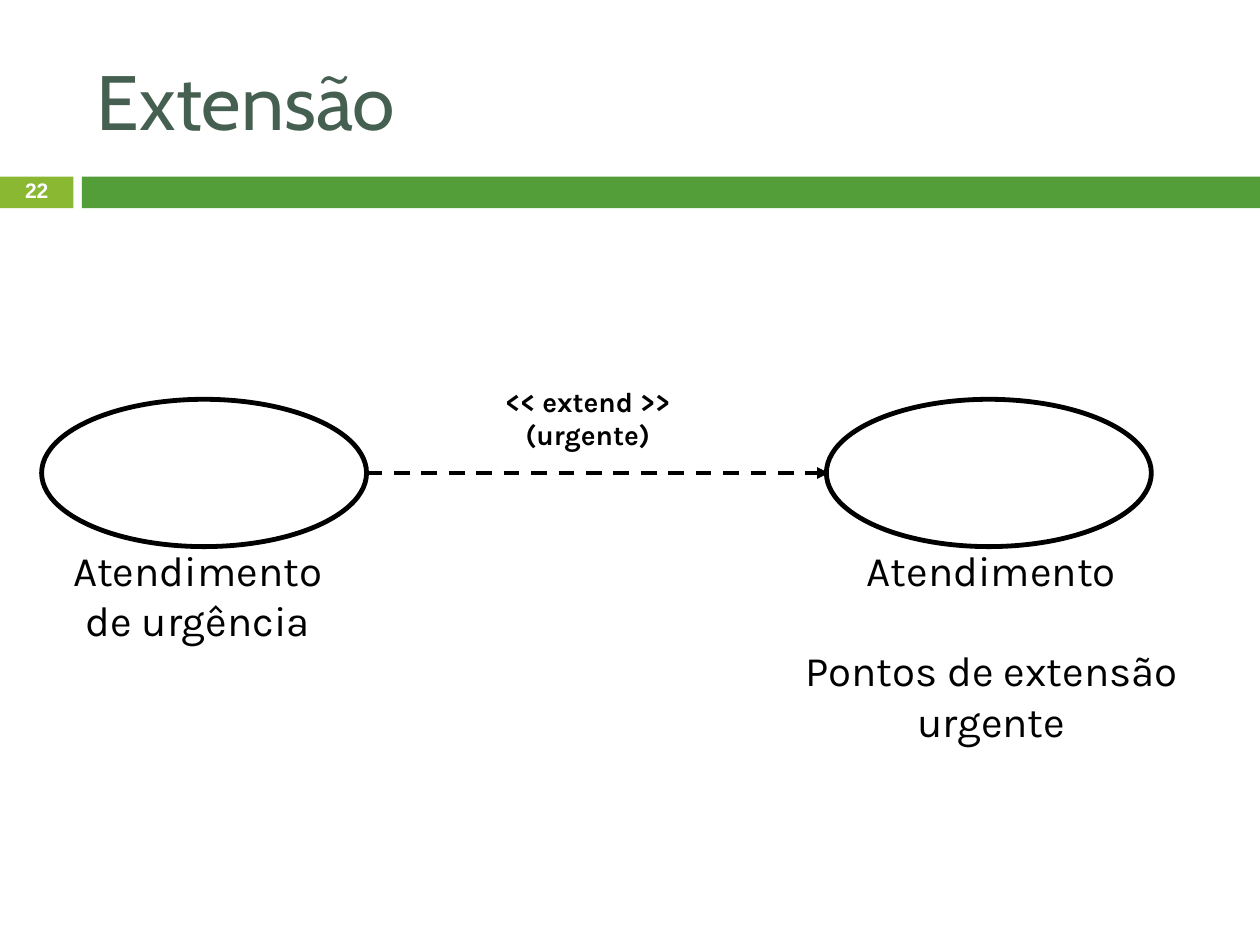
import pptx
import pptx.util
import pptx.dml.color
import pptx.enum.dml
import pptx.enum.shapes
import pptx.enum.text
import pptx.oxml.ns
from lxml import etree
from pptx.util import Cm, Pt

TITLE = "Extensão"
PAGE_NUMBER = "22"
BLACK = "000000"

# left, width, colour
BANDS = [(0, 1.48, "8AB833"), (1.65, 23.75, "549E39")]
BAND_TOP, BAND_HEIGHT = 3.56, 0.64

USE_CASE_LEFTS = [0.84, 16.66]
USE_CASE_TOP, USE_CASE_WIDTH, USE_CASE_HEIGHT = 8.05, 6.55, 2.97

# box (left, top, width, height), size, bold, lines as (text, points of space before)
LABELS = [
    ((1.14, 10.85, 5.69, 2.29), 24, False,
     [("Atendimento", 0), ("de urgência", 0)]),
    ((15.82, 10.85, 8.33, 4.32), 24, False,
     [("Atendimento", 0), ("Pontos de extensão", 28.5), ("urgente", 0)]),
    ((9.83, 7.62, 4.04, 1.63), 16, True,
     [("<< extend >>", 0), ("(urgente)", 0)]),
]


def rgb(colour):
    return pptx.dml.color.RGBColor.from_string(colour)


def add_run(paragraph, text, font, size, colour, bold=False):
    run = paragraph.add_run()
    run.text = text
    run.font.name = font
    run.font.size = Pt(size)
    run.font.bold = bold
    run.font.color.rgb = rgb(colour)


def add_band(slide, left, width, colour):
    band = slide.shapes.add_shape(
        pptx.enum.shapes.MSO_SHAPE.RECTANGLE,
        Cm(left), Cm(BAND_TOP), Cm(width), Cm(BAND_HEIGHT))
    band.shadow.inherit = False
    band.fill.solid()
    band.fill.fore_color.rgb = rgb(colour)
    band.line.fill.background()


def add_page_number(slide):
    left, width, _ = BANDS[0]
    box = slide.shapes.add_textbox(Cm(left), Cm(3.53), Cm(width), Cm(0.69))
    frame = box.text_frame
    frame.word_wrap = True
    frame.vertical_anchor = pptx.enum.text.MSO_ANCHOR.MIDDLE
    paragraph = frame.paragraphs[0]
    paragraph.alignment = pptx.enum.text.PP_ALIGN.CENTER
    paragraph.line_spacing = 0.8
    add_run(paragraph, PAGE_NUMBER, "Arial", 12, "FFFFFF", True)


def format_title(slide):
    title = slide.shapes.title
    title.left, title.top, title.width, title.height = (
        Cm(1.7), Cm(0.64), Cm(22.66), Cm(2.74))
    title.text_frame.vertical_anchor = pptx.enum.text.MSO_ANCHOR.MIDDLE
    paragraph = title.text_frame.paragraphs[0]
    paragraph.alignment = pptx.enum.text.PP_ALIGN.LEFT
    add_run(paragraph, TITLE, "Cabin", 44, "455F51")


def add_use_case(slide, left):
    use_case = slide.shapes.add_shape(
        pptx.enum.shapes.MSO_SHAPE.OVAL,
        Cm(left), Cm(USE_CASE_TOP), Cm(USE_CASE_WIDTH), Cm(USE_CASE_HEIGHT))
    use_case.shadow.inherit = False
    use_case.fill.background()
    use_case.line.color.rgb = rgb(BLACK)
    use_case.line.width = Pt(2.75)


def add_label(slide, box, size, bold, lines):
    frame = slide.shapes.add_textbox(*map(Cm, box)).text_frame
    frame.word_wrap = False
    frame.auto_size = pptx.enum.text.MSO_AUTO_SIZE.SHAPE_TO_FIT_TEXT
    for number, (text, space_before) in enumerate(lines):
        paragraph = frame.add_paragraph() if number else frame.paragraphs[0]
        paragraph.alignment = pptx.enum.text.PP_ALIGN.CENTER
        paragraph.space_before = Pt(space_before)
        add_run(paragraph, text, "Karla", size, BLACK, bold)


def add_extend_arrow(slide):
    middle = Cm(USE_CASE_TOP + USE_CASE_HEIGHT / 2)
    extending, extended = USE_CASE_LEFTS
    arrow = slide.shapes.add_connector(
        pptx.enum.shapes.MSO_CONNECTOR.STRAIGHT,
        Cm(extending + USE_CASE_WIDTH), middle, Cm(extended + 0.05), middle)
    arrow.line.color.rgb = rgb(BLACK)
    arrow.line.width = Pt(2.25)
    arrow.line.dash_style = pptx.enum.dml.MSO_LINE.DASH
    qn = pptx.oxml.ns.qn
    properties = arrow.element.spPr
    etree.SubElement(properties.find(qn("a:ln")), qn("a:tailEnd"), type="triangle")
    etree.SubElement(properties, qn("a:effectLst"))


def main():
    deck = pptx.Presentation()
    deck.slide_width, deck.slide_height = Cm(25.4), Cm(19.05)
    slide = deck.slides.add_slide(deck.slide_layouts[5])
    for band in BANDS:
        add_band(slide, *band)
    add_page_number(slide)
    format_title(slide)
    for left in USE_CASE_LEFTS:
        add_use_case(slide, left)
    add_extend_arrow(slide)
    for label in LABELS:
        add_label(slide, *label)
    deck.save("out.pptx")


if __name__ == "__main__":
    main()
